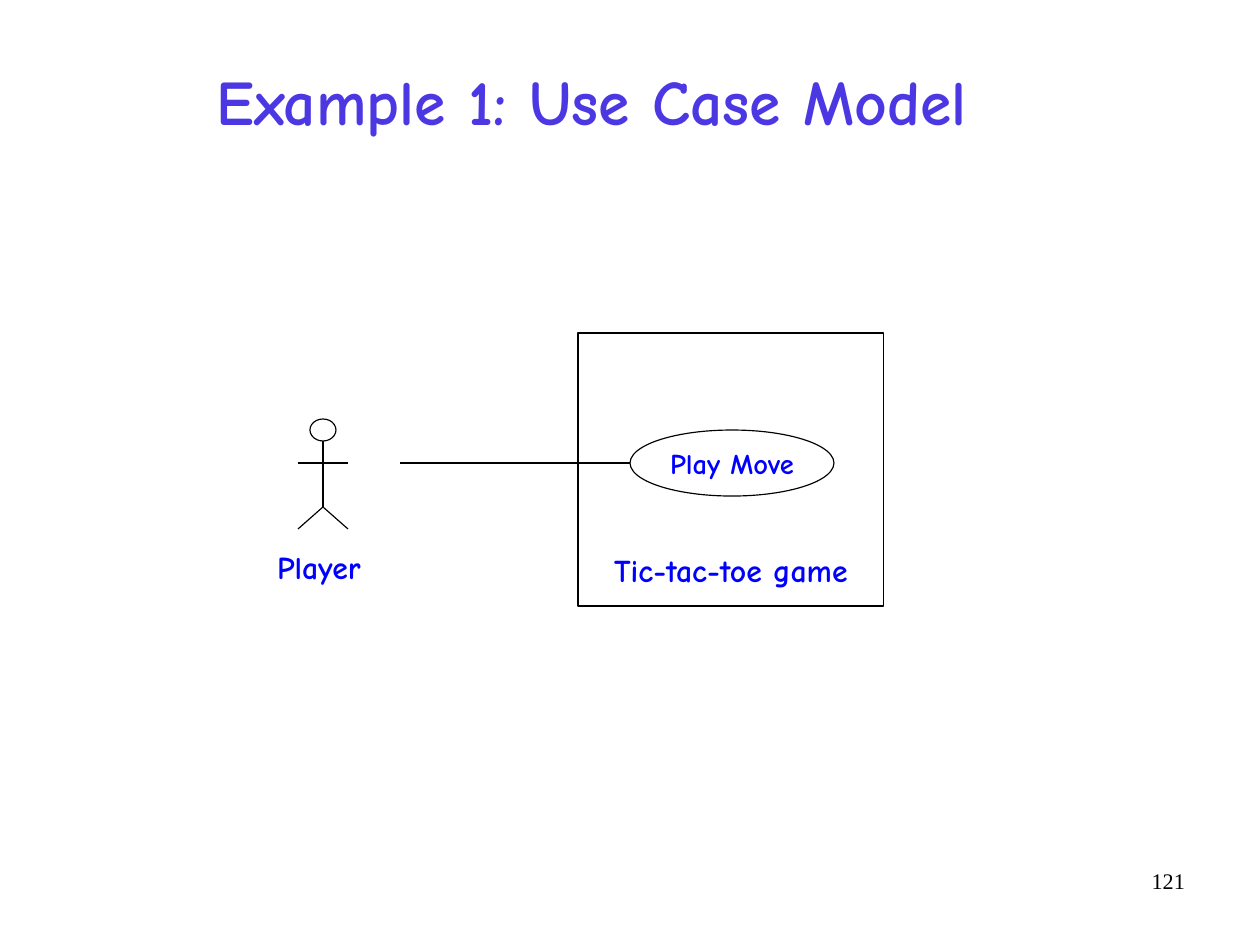
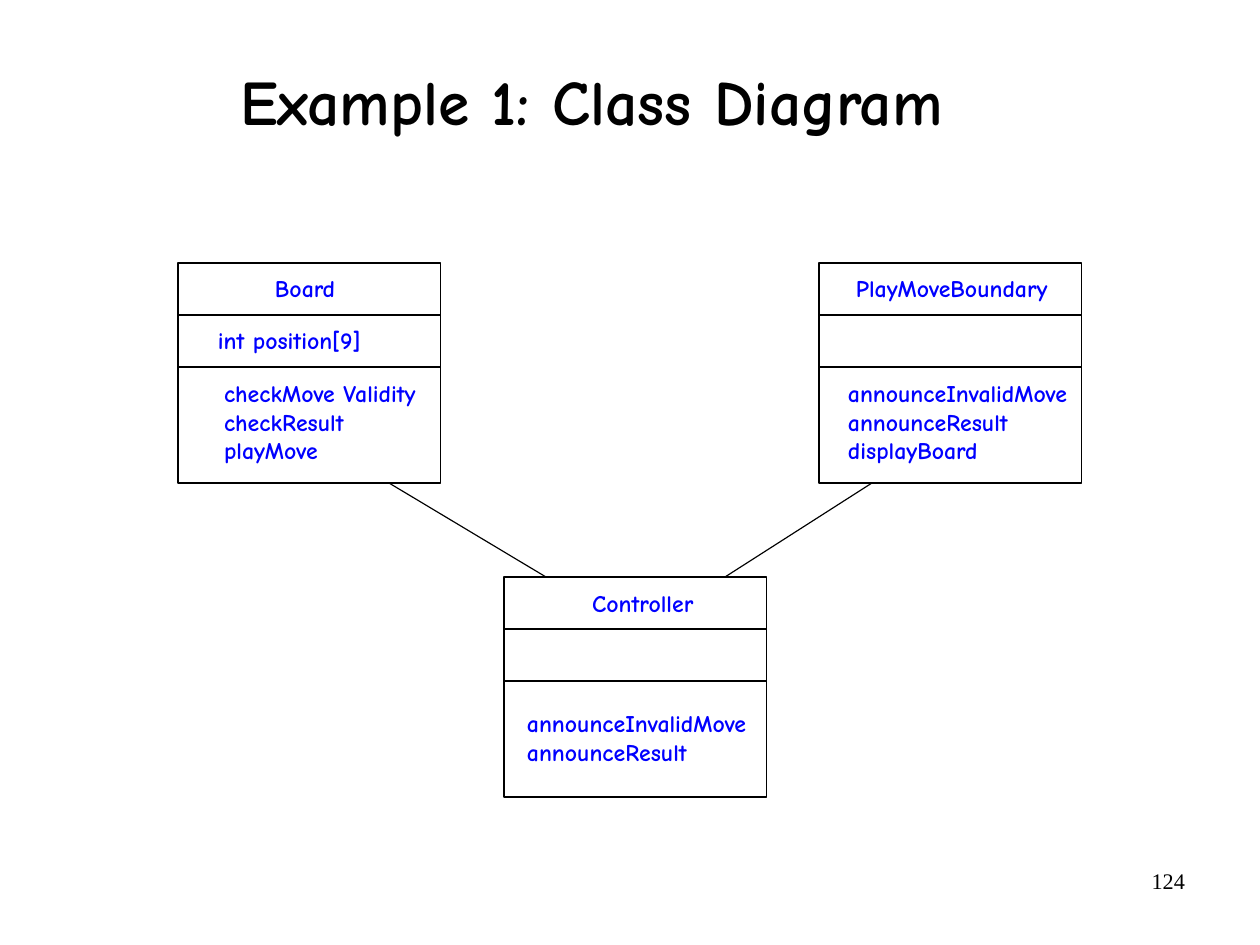
from dataclasses import dataclass

from lxml.etree import SubElement
from pptx import Presentation
from pptx.dml.color import RGBColor
from pptx.enum.shapes import MSO_CONNECTOR as Line, MSO_SHAPE as Kind
from pptx.enum.text import MSO_ANCHOR as Anchor, MSO_AUTO_SIZE as Fit, PP_ALIGN as Align
from pptx.oxml.ns import qn
from pptx.util import Pt

SCALE = 8000  # EMU in one px
WIDE, HIGH = 1260, 945
HUES = {"ink": "000000", "label": "0000FF", "violet": "4C38E2"}
FACE, PLAIN = "Comic Neue", "Times New Roman"
CLASS_W, CLASS_H, ROW_H = 263, 220, 52


@dataclass
class Note:
    x: int
    y: int
    w: int
    lines: list[str]


@dataclass
class Class:
    x: int
    y: int
    notes: list[Note]


CLASSES = [
    Class(178, 263, [
        Note(275, 274, 61, ["Board"]),
        Note(218, 326, 143, ["int position[9]"]),
        Note(224, 379, 193, ["checkMove Validity", "checkResult", "playMove"]),
    ]),
    Class(504, 577, [
        Note(592, 589, 102, ["Controller"]),
        Note(527, 709, 221, ["announceInvalidMove", "announceResult"]),
    ]),
    Class(819, 263, [
        Note(856, 274, 192, ["PlayMoveBoundary"]),
        Note(848, 379, 221, ["announceInvalidMove", "announceResult", "displayBoard"]),
    ]),
]


def px(*nums: int) -> list[int]:
    return [num * SCALE for num in nums]


def hue(name: str) -> RGBColor:
    return RGBColor.from_string(HUES[name])


def write(frame, lines: list[str], size: int, tint: str = "label",
          align=Align.LEFT, face: str = FACE, bold: bool = True) -> None:
    """Fill a frame with lines in one style, without margins."""
    frame.margin_left = frame.margin_right = 0
    frame.margin_top = frame.margin_bottom = 0
    frame.text = "\n".join(lines)
    for para in frame.paragraphs:
        para.alignment = align
        for run in para.runs:
            font = run.font
            font.name, font.size, font.bold = face, Pt(size), bold
            font.color.rgb = hue(tint)


def add_text(slide, note: Note, size: int, **style) -> None:
    high = len(note.lines) * size * 2
    box = slide.shapes.add_textbox(*px(note.x, note.y, note.w, high))
    write(box.text_frame, note.lines, size, **style)


def add_shape(slide, kind, x: int, y: int, w: int, h: int):
    shape = slide.shapes.add_shape(kind, *px(x, y, w, h))
    shape.shadow.inherit = False
    shape.fill.background()
    shape.line.color.rgb = hue("ink")
    shape.line.width = Pt(0.75)
    return shape


def add_line(slide, x1: int, y1: int, x2: int, y2: int) -> None:
    line = slide.shapes.add_connector(Line.STRAIGHT, *px(x1, y1, x2, y2))
    line.line.color.rgb = hue("ink")
    line.line.width = Pt(0.75)
    SubElement(line._element.spPr, qn("a:effectLst"))


def add_slide(deck, title: str, tint: str, page: str):
    slide = deck.slides.add_slide(deck.slide_layouts[5])
    head = slide.shapes.title
    head.left, head.top, head.width, head.height = px(56, 23, 1071, 162)
    frame = head.text_frame
    write(frame, [title], 40, tint, Align.CENTER)
    frame.vertical_anchor = Anchor.MIDDLE
    frame.auto_size = Fit.NONE
    frame.paragraphs[0].line_spacing = 0.94
    add_text(slide, Note(914, 867, 271, [page]), 14, tint="ink",
             align=Align.RIGHT, face=PLAIN, bold=False)
    return slide


def add_actor(slide, x: int, y: int) -> None:
    """Draw a stick figure centred on x, with its head's top at y."""
    hip = y + 88
    add_shape(slide, Kind.OVAL, x - 13, y, 26, 22)
    add_line(slide, x, y + 22, x, hip)
    add_line(slide, x - 25, y + 44, x + 25, y + 44)
    for side in (-25, 25):
        add_line(slide, x, hip, x + side, hip + 22)


def add_class(slide, item: Class) -> None:
    add_shape(slide, Kind.RECTANGLE, item.x, item.y, CLASS_W, CLASS_H)
    for row in (1, 2):
        y = item.y + row * ROW_H
        add_line(slide, item.x, y, item.x + CLASS_W, y)
    for note in item.notes:
        add_text(slide, note, 15)


def draw_cases(deck) -> None:
    slide = add_slide(deck, "Example 1: Use Case Model", "violet", "121")
    game = add_shape(slide, Kind.RECTANGLE, 578, 333, 306, 273)
    write(game.text_frame, ["Tic-tac-toe game"], 20, align=Align.CENTER)
    game.text_frame.vertical_anchor = Anchor.BOTTOM
    game.text_frame.margin_bottom = px(17)[0]
    move = add_shape(slide, Kind.OVAL, 630, 430, 204, 66)
    write(move.text_frame, ["Play Move"], 18, align=Align.CENTER)
    move.text_frame.vertical_anchor = Anchor.MIDDLE
    add_actor(slide, 323, 419)
    add_line(slide, 400, 463, 630, 463)
    add_text(slide, Note(277, 548, 84, ["Player"]), 20)


def draw_classes(deck) -> None:
    slide = add_slide(deck, "Example 1: Class Diagram", "ink", "124")
    for item in CLASSES:
        add_class(slide, item)
    board, control, _ = CLASSES
    foot = board.y + CLASS_H
    add_line(slide, 389, foot, 546, control.y)
    add_line(slide, 872, foot, 725, control.y)


def main() -> None:
    deck = Presentation()
    deck.slide_width, deck.slide_height = px(WIDE, HIGH)
    draw_cases(deck)
    draw_classes(deck)
    deck.save("out.pptx")


if __name__ == "__main__":
    main()
